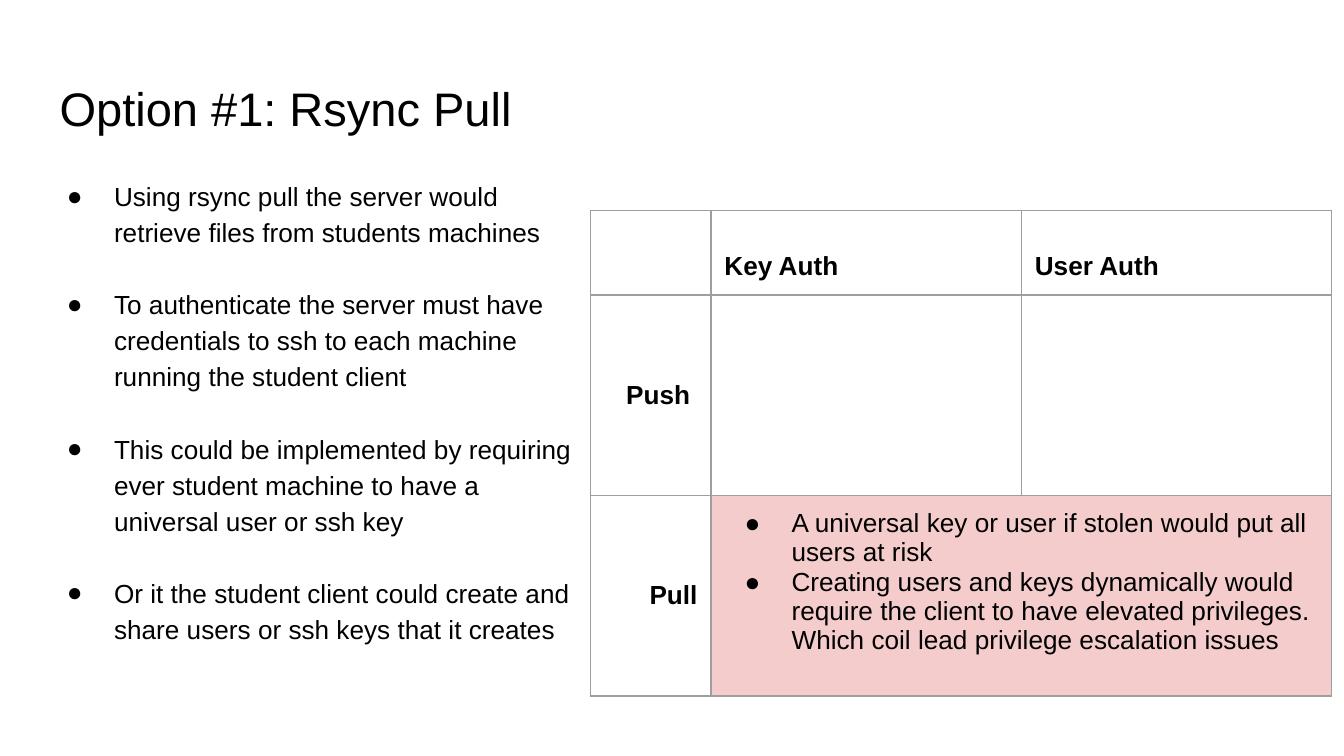
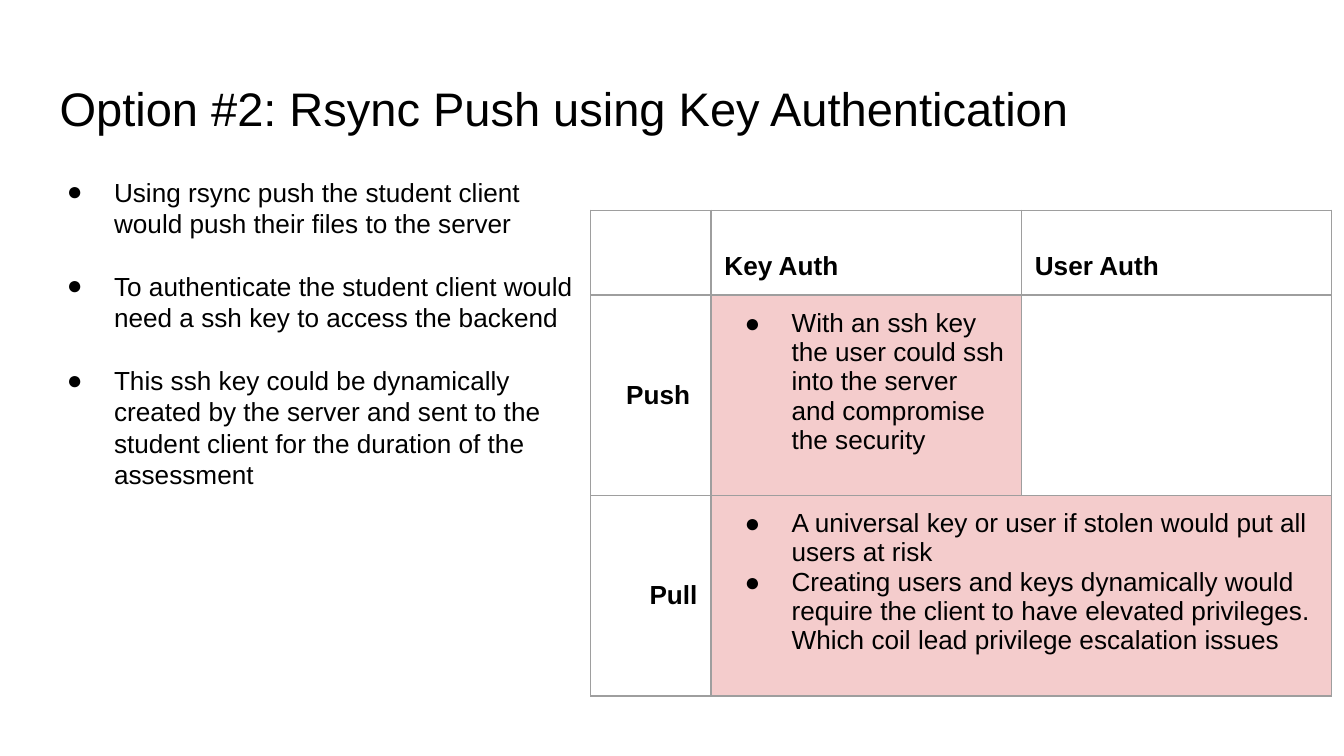
from lxml import etree
from pptx import Presentation
from pptx.dml.color import RGBColor
from pptx.enum.text import MSO_ANCHOR, PP_ALIGN
from pptx.oxml.ns import qn
from pptx.util import Pt

TOP, MIDDLE, BOTTOM = MSO_ANCHOR.TOP, MSO_ANCHOR.MIDDLE, MSO_ANCHOR.BOTTOM
LEFT, RIGHT = PP_ALIGN.LEFT, PP_ALIGN.RIGHT
PX = 4572
INSET = 20 * PX
FONT = "Arial"
COLORS = {"text": "000000", "border": "9E9E9E", "plain": "FFFFFF", "risk": "F4CCCC"}
COLUMNS = [179, 462, 462]
ROWS = [126, 298, 299]
BORDERS = ["a:lnL", "a:lnR", "a:lnT", "a:lnB"]

PULL_RISKS = [
    "A universal key or user if stolen would put all users at risk",
    "Creating users and keys dynamically would require the client to have elevated "
    "privileges. Which coil lead privilege escalation issues",
]
PUSH_KEY_RISKS = ["With an ssh key the user could ssh into the server and compromise the security"]

LABELS = {
    (0, 1): ("Key Auth", LEFT, BOTTOM),
    (0, 2): ("User Auth", LEFT, BOTTOM),
    (1, 0): ("Push ", RIGHT, MIDDLE),
    (2, 0): ("Pull", RIGHT, MIDDLE),
}

SLIDES = [
    {
        "title": "Option #1: Rsync Pull",
        "height": 738,
        "spacing": 1.15,
        "gap": 19.3,
        "points": [
            "Using rsync pull the server would retrieve files from students machines",
            "To authenticate the server must have credentials to ssh to each machine "
            "running the student client",
            "This could be implemented by requiring ever student machine to have a "
            "universal user or ssh key",
            "Or it the student client could create and share users or ssh keys that it creates",
        ],
        "risks": {(2, 1): PULL_RISKS},
    },
    {
        "title": "Option #2: Rsync Push using Key Authentication",
        "height": 558,
        "spacing": 1.0,
        "gap": 16.8,
        "points": [
            "Using rsync push the student client would push their files to the server",
            "To authenticate the student client would need a ssh key to access the backend",
            "This ssh key could be dynamically created by the server and sent to the "
            "student client for the duration of the assessment",
        ],
        "risks": {(1, 1): PUSH_KEY_RISKS, (2, 1): PULL_RISKS},
    },
]


def write(frame, lines, size=14, bold=False, bullets=False, align=LEFT, spacing=None, gap=0):
    frame.word_wrap = True
    for index, line in enumerate(lines):
        para = frame.add_paragraph() if index else frame.paragraphs[0]
        para.alignment = align
        if spacing:
            para.line_spacing = spacing
        if gap and index:
            para.space_before = Pt(gap)
        if bullets:
            properties = para._p.get_or_add_pPr()
            properties.set("marL", str(100 * PX))
            properties.set("indent", str(-70 * PX))
            color = etree.SubElement(properties, qn("a:buClr"))
            etree.SubElement(color, qn("a:srgbClr"), val=COLORS["text"])
            etree.SubElement(properties, qn("a:buFont"), typeface=FONT)
            etree.SubElement(properties, qn("a:buChar"), char="●")
        span = para.add_run()
        span.text = line
        span.font.name = FONT
        span.font.size = Pt(size)
        span.font.bold = bold
        span.font.color.rgb = RGBColor.from_string(COLORS["text"])


def add_text(page, left, top, width, height, anchor):
    box = page.shapes.add_textbox(left * PX, top * PX, width * PX, height * PX)
    frame = box.text_frame
    frame.vertical_anchor = anchor
    frame.margin_left = frame.margin_right = frame.margin_top = frame.margin_bottom = INSET
    return frame


deck = Presentation()
deck.slide_width, deck.slide_height = 2000 * PX, 1125 * PX

for content in SLIDES:
    page = deck.slides.add_slide(deck.slide_layouts[6])
    write(add_text(page, 69, 97, 1864, 126, MIDDLE), [content["title"]], size=25.2)
    write(add_text(page, 50, 242, 830, content["height"], TOP), content["points"],
          bullets=True, spacing=content["spacing"], gap=content["gap"])

    table = page.shapes.add_table(len(ROWS), len(COLUMNS), 879 * PX, 313 * PX,
                                  sum(COLUMNS) * PX, sum(ROWS) * PX).table
    table.first_row = table.horz_banding = False
    for column, width in zip(table.columns, COLUMNS):
        column.width = width * PX
    for row, height in zip(table.rows, ROWS):
        row.height = height * PX
    table.cell(2, 1).merge(table.cell(2, 2))

    for row in range(len(ROWS)):
        for column in range(len(COLUMNS)):
            cell = table.cell(row, column)
            cell.margin_left = cell.margin_right = INSET
            cell.margin_top = cell.margin_bottom = INSET
            for side in BORDERS:
                line = etree.SubElement(cell._tc.get_or_add_tcPr(), qn(side), w=str(Pt(0.75)))
                fill = etree.SubElement(line, qn("a:solidFill"))
                etree.SubElement(fill, qn("a:srgbClr"), val=COLORS["border"])
            risks = content["risks"].get((row, column))
            cell.fill.solid()
            cell.fill.fore_color.rgb = RGBColor.from_string(COLORS["risk" if risks else "plain"])
            if risks:
                write(cell.text_frame, risks, bullets=True)
            elif (row, column) in LABELS:
                label, align, anchor = LABELS[row, column]
                cell.vertical_anchor = anchor
                write(cell.text_frame, [label], bold=True, align=align)

deck.save("out.pptx")
